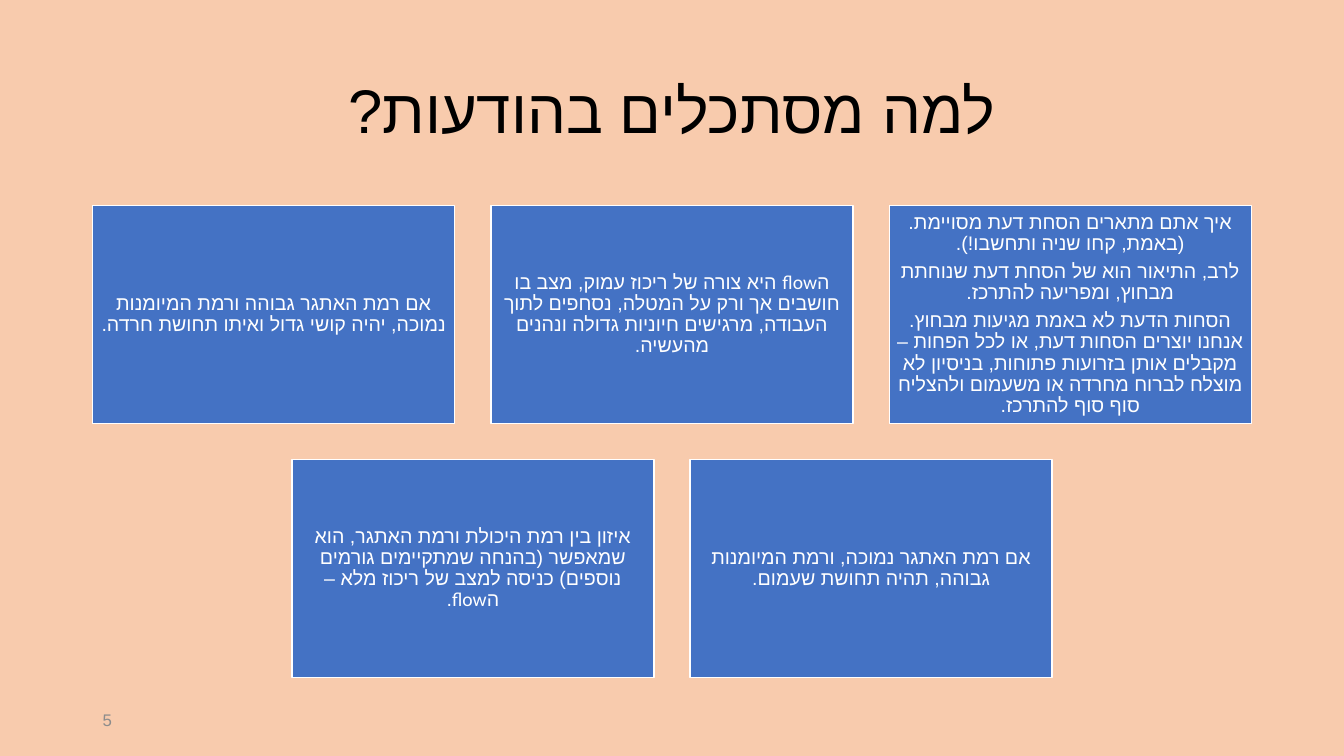
from dataclasses import dataclass

from lxml import etree
from pptx import Presentation
from pptx.dml.color import RGBColor
from pptx.enum.shapes import MSO_SHAPE
from pptx.enum.text import MSO_ANCHOR, PP_ALIGN
from pptx.oxml.ns import qn
from pptx.util import Inches, Pt

RECTANGLE = MSO_SHAPE.RECTANGLE
MIDDLE = MSO_ANCHOR.MIDDLE
CENTER, LEFT = PP_ALIGN.CENTER, PP_ALIGN.LEFT


@dataclass(frozen=True)
class Theme:
    font: str = "Calibri"
    hebrew_font: str = "Arial"
    background: str = "F8CBAD"
    card: str = "4472C4"
    card_text: str = "FFFFFF"
    title_text: str = "000000"
    number_text: str = "8C8C8C"
    title_size: int = 44
    card_size: int = 14
    number_size: int = 12
    line_spacing: float = 0.9


THEME = Theme()
SLIDE_W, SLIDE_H = 13.33, 7.5
MARGIN = 0.92
CARD_W, CARD_H, GAP = 3.59, 2.16, 0.36
CARDS_TOP = 2.04
CARD_INSET = 0.06

TITLE = "למה מסתכלים בהודעות?"
PAGE_NUMBER = "5"

# Each row reads from right to left; each card is a list of paragraphs.
CARD_ROWS = [
    [
        [
            "איך אתם מתארים הסחת דעת מסויימת. (באמת, קחו שניה ותחשבו!).",
            "לרב, התיאור הוא של הסחת דעת שנוחתת מבחוץ, ומפריעה להתרכז.",
            "הסחות הדעת לא באמת מגיעות מבחוץ. אנחנו יוצרים הסחות דעת, או לכל "
            "הפחות – מקבלים אותן בזרועות פתוחות, בניסיון לא מוצלח לברוח מחרדה "
            "או משעמום ולהצליח סוף סוף להתרכז.",
        ],
        [
            "הflow היא צורה של ריכוז עמוק, מצב בו חושבים אך ורק על המטלה, "
            "נסחפים לתוך העבודה, מרגישים חיוניות גדולה ונהנים מהעשיה."
        ],
        [
            "אם רמת האתגר גבוהה ורמת המיומנות נמוכה, יהיה קושי גדול ואיתו "
            "תחושת חרדה."
        ],
    ],
    [
        ["אם רמת האתגר נמוכה, ורמת המיומנות גבוהה, תהיה תחושת שעמום."],
        [
            "איזון בין רמת היכולת ורמת האתגר, הוא שמאפשר (בהנחה שמתקיימים "
            "גורמים נוספים) כניסה למצב של ריכוז מלא – הflow."
        ],
    ],
]


def rgb(color):
    return RGBColor.from_string(color)


def write_rtl(frame, paragraphs, size, color, align=CENTER):
    """Fill a text frame with right-to-left paragraphs in the theme fonts."""
    frame.word_wrap = True
    frame.vertical_anchor = MIDDLE
    frame.text = "\n".join(paragraphs)
    for index, paragraph in enumerate(frame.paragraphs):
        paragraph.alignment = align
        paragraph.line_spacing = THEME.line_spacing
        paragraph.space_before = Pt(5 if index else 0)
        paragraph._p.get_or_add_pPr().set("rtl", "1")
        for run in paragraph.runs:
            run.font.size = Pt(size)
            run.font.name = THEME.font
            run.font.color.rgb = rgb(color)
            complex_script = etree.SubElement(run._r.get_or_add_rPr(), qn("a:cs"))
            complex_script.set("typeface", THEME.hebrew_font)


def add_title(slide):
    title = slide.shapes.title
    title.left, title.top = Inches(MARGIN), Inches(0.4)
    title.width, title.height = Inches(SLIDE_W - 2 * MARGIN), Inches(1.45)
    write_rtl(title.text_frame, [TITLE], THEME.title_size, THEME.title_text)


def add_card(slide, left, top, paragraphs):
    card = slide.shapes.add_shape(
        RECTANGLE, Inches(left), Inches(top), Inches(CARD_W), Inches(CARD_H)
    )
    card.shadow.inherit = False
    card.fill.solid()
    card.fill.fore_color.rgb = rgb(THEME.card)
    card.line.color.rgb = rgb(THEME.card_text)
    card.line.width = Pt(1)
    frame = card.text_frame
    frame.margin_left = frame.margin_right = Inches(CARD_INSET)
    frame.margin_top = frame.margin_bottom = Inches(CARD_INSET)
    write_rtl(frame, paragraphs, THEME.card_size, THEME.card_text)


def add_card_row(slide, row, cards):
    """Centre a row of cards on the slide, the first card rightmost."""
    row_width = len(cards) * (CARD_W + GAP) - GAP
    rightmost = (SLIDE_W + row_width) / 2 - CARD_W
    top = CARDS_TOP + row * (CARD_H + GAP)
    for column, paragraphs in enumerate(cards):
        add_card(slide, rightmost - column * (CARD_W + GAP), top, paragraphs)


def add_page_number(slide):
    number = slide.shapes.add_textbox(
        Inches(MARGIN), Inches(6.95), Inches(3), Inches(0.4)
    )
    write_rtl(
        number.text_frame, [PAGE_NUMBER], THEME.number_size, THEME.number_text, LEFT
    )


def main():
    deck = Presentation()
    deck.slide_width, deck.slide_height = Inches(SLIDE_W), Inches(SLIDE_H)
    slide = deck.slides.add_slide(deck.slide_layouts.get_by_name("Title Only"))
    slide.background.fill.solid()
    slide.background.fill.fore_color.rgb = rgb(THEME.background)

    add_title(slide)
    for row, cards in enumerate(CARD_ROWS):
        add_card_row(slide, row, cards)
    add_page_number(slide)
    deck.save("out.pptx")


if __name__ == "__main__":
    main()
